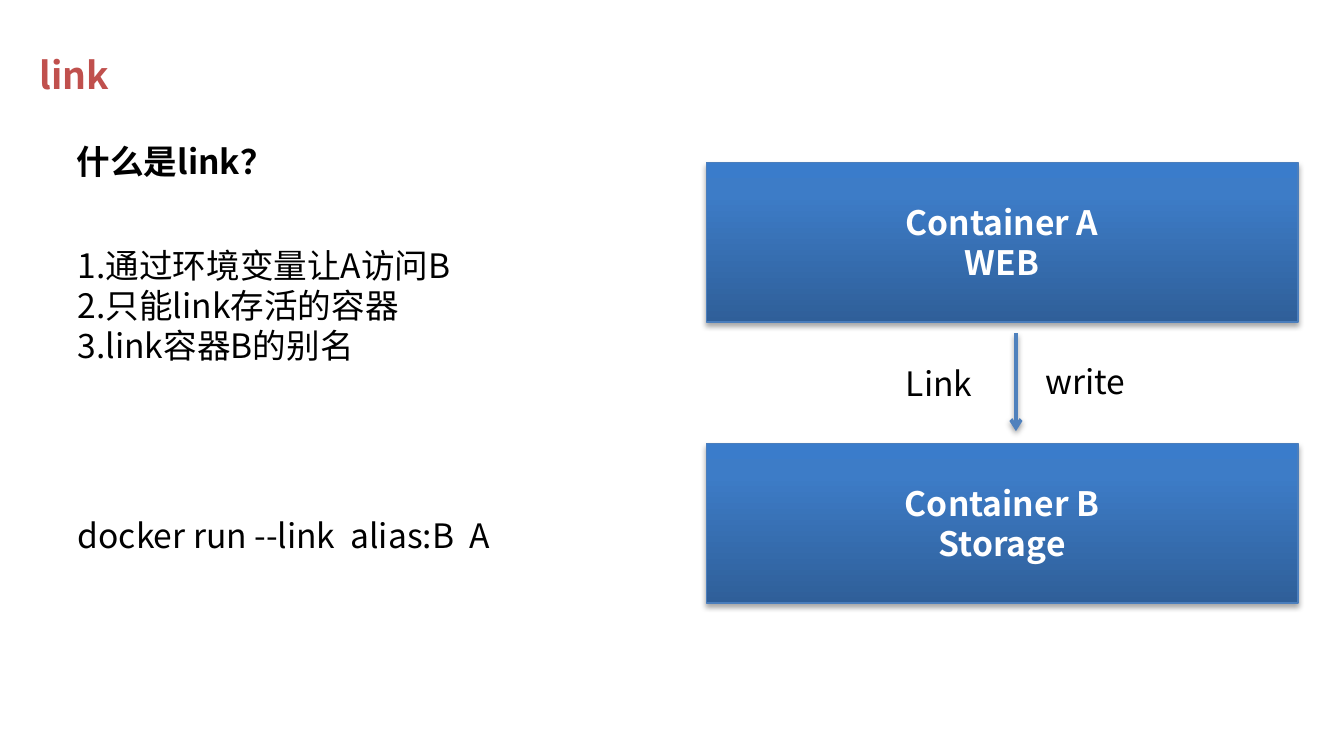
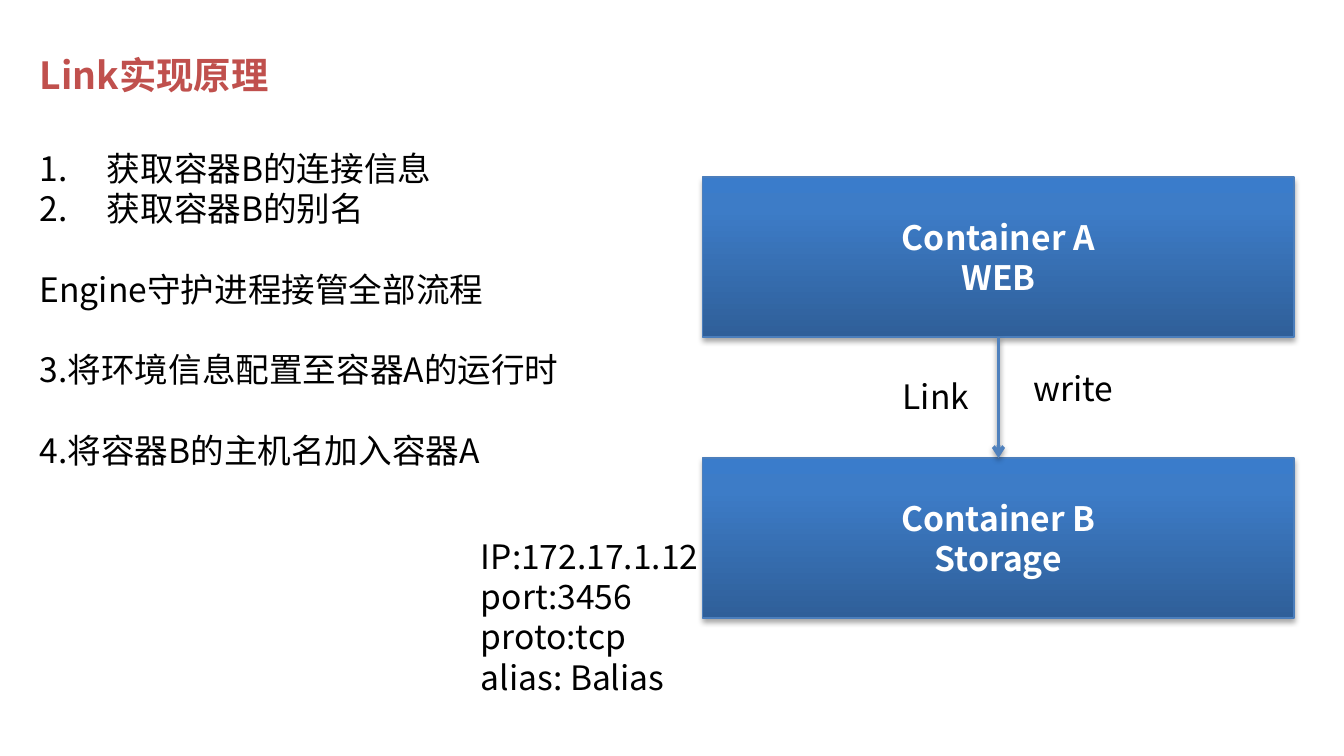
import pptx
import pptx.dml.color
import pptx.enum.shapes
import pptx.enum.text
import pptx.oxml
import pptx.oxml.ns
import pptx.util
from lxml import etree

Cm = pptx.util.Cm
Pt = pptx.util.Pt

FONT = "Noto Sans CJK SC"
BLACK, WHITE, RED = "000000", "FFFFFF", "C0504D"
EDGE, ARROW = "4B7EBC", "4F81BD"
GRADIENT = [(0, "2F5F99"), (80, "3D7CC7"), (100, "3A7CCB")]
BODY_SIZE, TITLE_SIZE = 18, 20
LINE_HEIGHT = 21.6  # points, one body line
LABEL_WIDTH, LABEL_HEIGHT = 2.06, 1.02
NODE_WIDTH, NODE_HEIGHT, NODE_PITCH = 11.18, 3.02, 5.31
NODES = ["Container A\nWEB", "Container B\nStorage"]
NAMESPACE = pptx.oxml.ns.nsdecls("a")


def color(value):
    return pptx.dml.color.RGBColor.from_string(value)


def style_text(frame, size=BODY_SIZE, hue=BLACK, bold=False, align=None):
    frame.word_wrap = True
    for paragraph in frame.paragraphs:
        paragraph.alignment = align
        for span in paragraph.runs:
            span.font.name = FONT
            span.font.size = Pt(size)
            span.font.bold = bold
            span.font.color.rgb = color(hue)
            east_asian = etree.SubElement(
                span.font._element, pptx.oxml.ns.qn("a:ea"))
            east_asian.set("typeface", FONT)


def add_text(page, left, top, width, height, text, **style):
    box = page.shapes.add_textbox(Cm(left), Cm(top), Cm(width), Cm(height))
    box.text_frame.text = text
    style_text(box.text_frame, **style)
    return box.text_frame


def add_shadow(item, alpha, distance):
    item._element.spPr.append(pptx.oxml.parse_xml(
        f'<a:effectLst {NAMESPACE}><a:outerShdw blurRad="{Pt(3.1)}" '
        f'dist="{Pt(distance)}" dir="5400000" rotWithShape="0">'
        f'<a:srgbClr val="{BLACK}"><a:alpha val="{alpha * 1000}"/></a:srgbClr>'
        '</a:outerShdw></a:effectLst>'))


def add_title(page, text):
    frame = add_text(page, 0.5, 0.46, 24.5, 1.5, text,
                     size=TITLE_SIZE, hue=RED, bold=True)
    frame.vertical_anchor = pptx.enum.text.MSO_ANCHOR.BOTTOM


def add_node(page, left, top, text):
    node = page.shapes.add_shape(
        pptx.enum.shapes.MSO_SHAPE.RECTANGLE,
        Cm(left), Cm(top), Cm(NODE_WIDTH), Cm(NODE_HEIGHT))
    node.line.color.rgb = color(EDGE)
    node.line.width = Pt(0.75)

    # Three-stop gradient, darkest at the bottom
    stops = "".join(
        f'<a:gs pos="{place * 1000}"><a:srgbClr val="{hue}"/></a:gs>'
        for place, hue in GRADIENT)
    node.line._ln.addprevious(pptx.oxml.parse_xml(
        f'<a:gradFill {NAMESPACE} rotWithShape="1"><a:gsLst>{stops}</a:gsLst>'
        '<a:lin ang="16200000" scaled="0"/></a:gradFill>'))
    add_shadow(node, 35, 1.8)

    node.text_frame.text = text
    node.text_frame.vertical_anchor = pptx.enum.text.MSO_ANCHOR.MIDDLE
    style_text(node.text_frame, hue=WHITE, bold=True,
               align=pptx.enum.text.PP_ALIGN.CENTER)
    return node


def add_arrow(page, x, top, bottom):
    arrow = page.shapes.add_connector(
        pptx.enum.shapes.MSO_CONNECTOR.STRAIGHT,
        Cm(x), Cm(top), Cm(x), Cm(bottom))
    arrow.line.color.rgb = color(ARROW)
    arrow.line.width = Pt(2)
    arrow.line._ln.append(
        pptx.oxml.parse_xml(f'<a:tailEnd {NAMESPACE} type="arrow"/>'))
    add_shadow(arrow, 38, 1.6)
    return arrow


def add_diagram(page, left, top, labels, free_arrow=None):
    """Two stacked nodes; label and arrow places are relative to the corner."""
    upper, lower = [add_node(page, left, top + index * NODE_PITCH, text)
                    for index, text in enumerate(NODES)]
    if free_arrow:
        x, start, end = free_arrow
        add_arrow(page, left + x, top + start, top + end)
    else:
        arrow = add_arrow(page, left + NODE_WIDTH / 2,
                          top + NODE_HEIGHT, top + NODE_PITCH)
        arrow.begin_connect(upper, 2)
        arrow.end_connect(lower, 0)
    for text, (x, y) in labels.items():
        add_text(page, left + x, top + y, LABEL_WIDTH, LABEL_HEIGHT, text)


def add_steps(page, left, top, width, height, steps):
    """Steps are (text, numbered, gap before) with a hanging indent."""
    frame = add_text(page, left, top, width, height,
                     "\n".join(text for text, _, _ in steps))
    for paragraph, (_, numbered, gap) in zip(frame.paragraphs, steps):
        properties = paragraph._p.get_or_add_pPr()
        properties.set("marL", str(Cm(1.27)))
        properties.set("indent", str(-Cm(1.27)))
        if numbered:
            properties.append(pptx.oxml.parse_xml(
                f'<a:buFont {NAMESPACE} typeface="+mj-lt"/>'))
            properties.append(pptx.oxml.parse_xml(
                f'<a:buAutoNum {NAMESPACE} type="arabicPeriod"/>'))
        if gap:
            paragraph.space_before = Pt(LINE_HEIGHT)


def build_definition(page):
    add_title(page, "link")
    add_text(page, 1.2, 2.54, 20.75, 1.02, "什么是link？", bold=True)
    add_text(page, 1.22, 4.5, 12.14, 3.33,
             "1.通过环境变量让A访问B\n2.只能link存活的容器\n3.link容器B的别名")
    add_text(page, 1.22, 9.6, 16.81, 1.02, "docker run --link  alias:B  A")
    add_diagram(page, 13.35, 3.07,
                {"write": (6.16, 3.63), "Link": (3.52, 3.66)},
                free_arrow=(5.85, 3.23, 5.08))


def build_principle(page):
    add_title(page, "Link实现原理")
    add_diagram(page, 13.28, 3.35,
                {"write": (6, 3.48), "Link": (3.53, 3.63)})
    add_text(page, 8.84, 10, 7.09, 3.33,
             "IP:172.17.1.12\nport:3456\nproto:tcp\nalias: Balias")
    add_steps(page, 0.5, 2.67, 16.3, 6.4, [
        ("获取容器B的连接信息", True, False),
        ("获取容器B的别名", True, False),
        ("Engine守护进程接管全部流程", False, True),
        ("3.将环境信息配置至容器A的运行时", False, True),
        ("4.将容器B的主机名加入容器A", False, True),
    ])


def main():
    deck = pptx.Presentation()
    deck.slide_width, deck.slide_height = Cm(25.4), Cm(14.29)
    for build in (build_definition, build_principle):
        build(deck.slides.add_slide(deck.slide_layouts[6]))
    deck.save("out.pptx")


if __name__ == "__main__":
    main()
